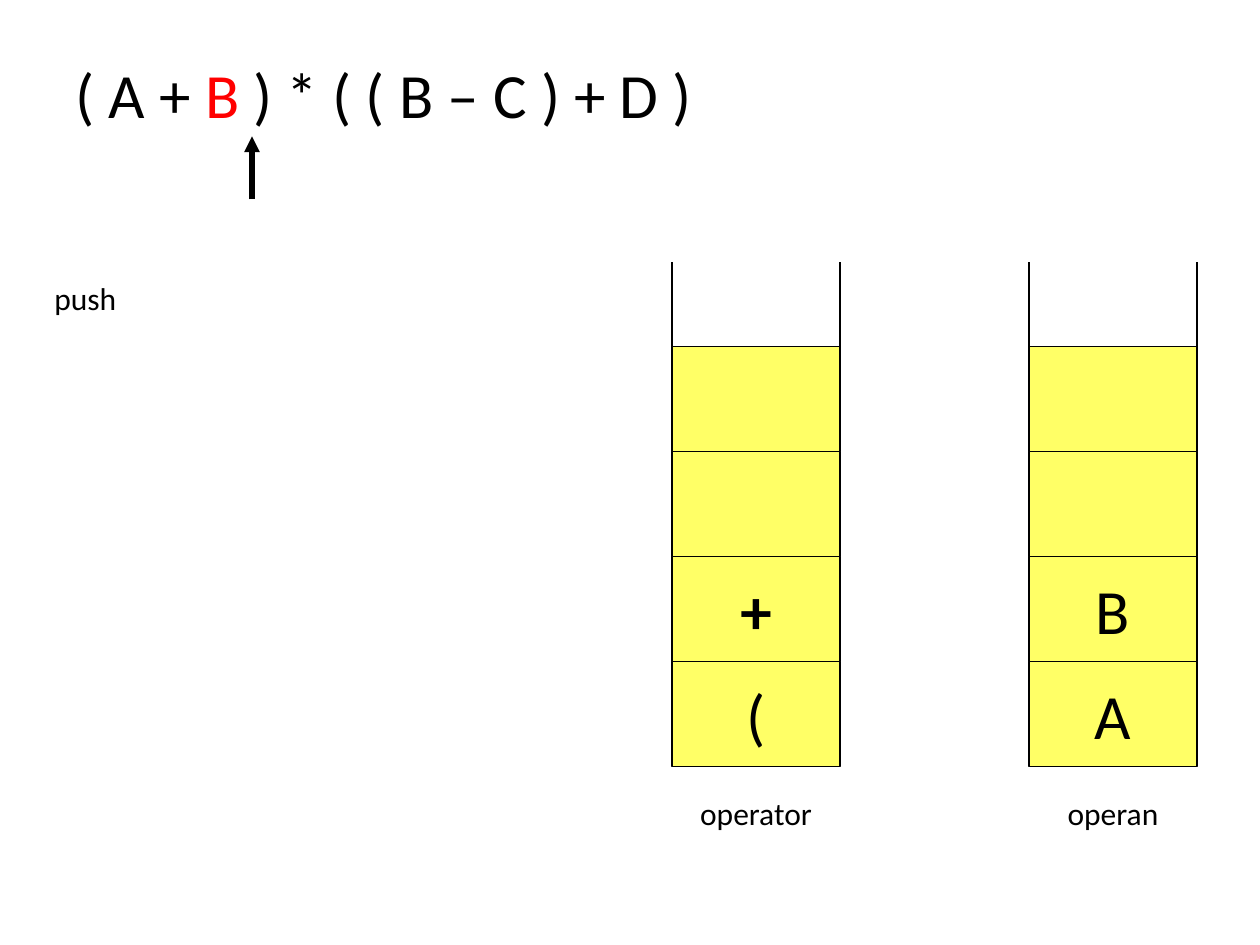
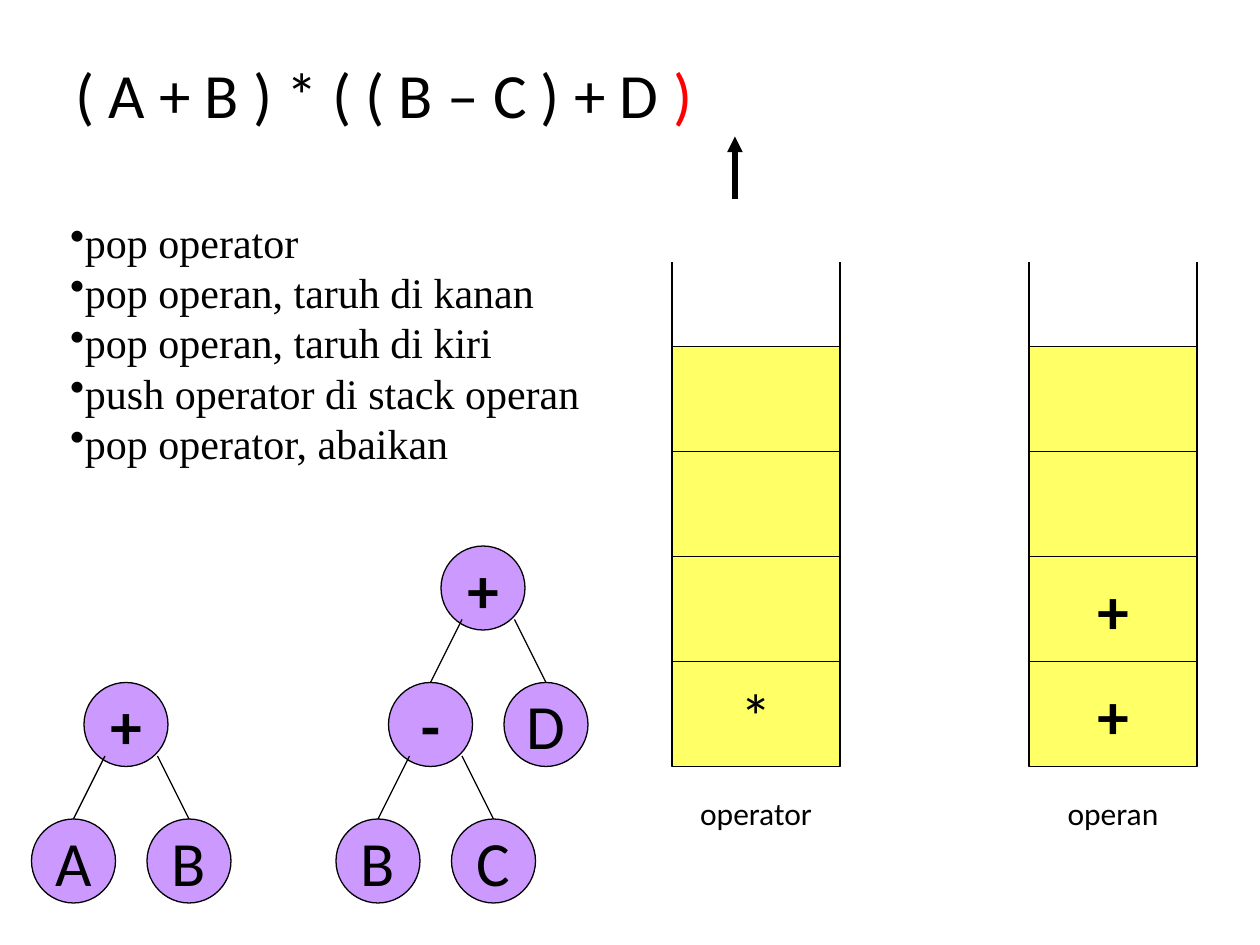
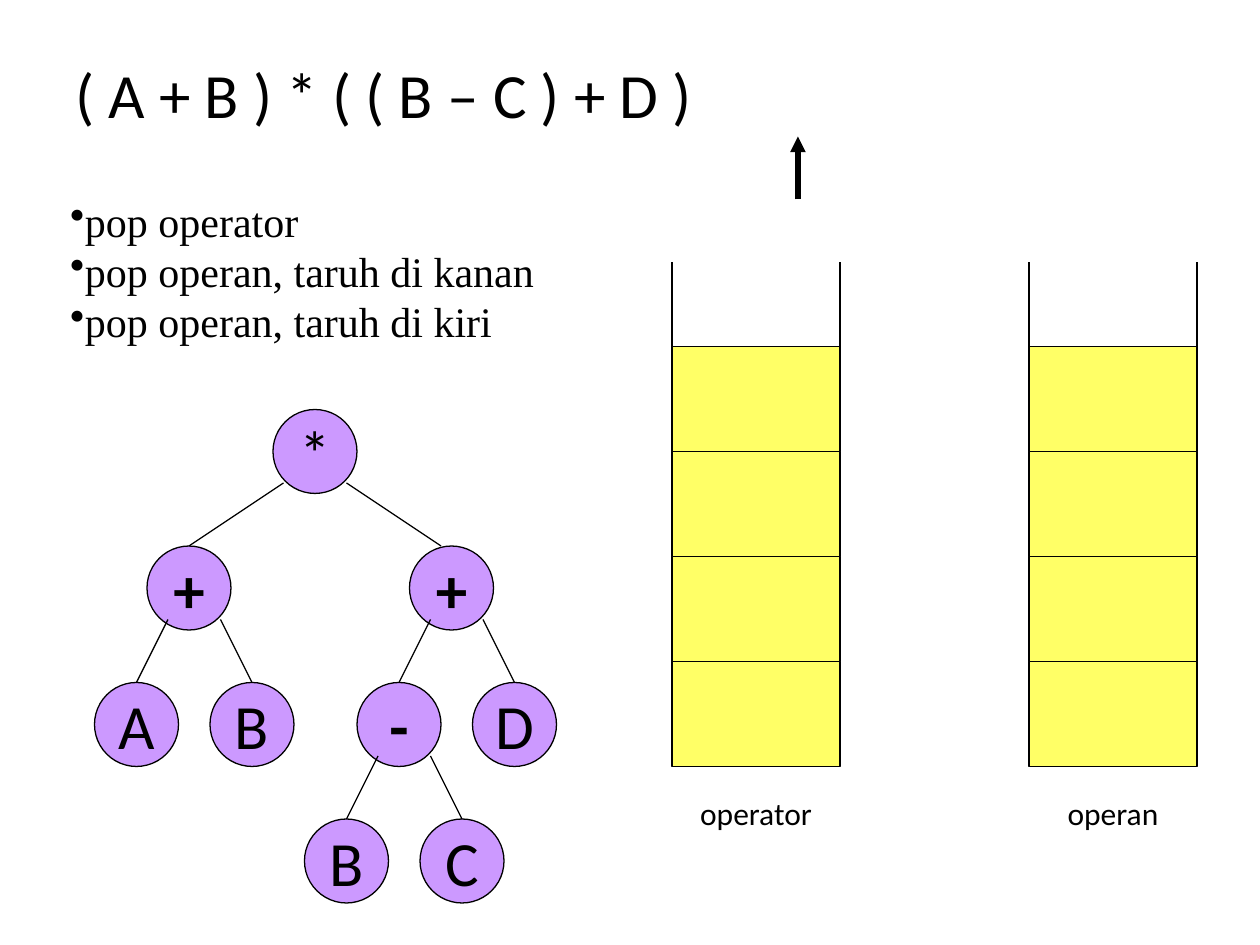
from pptx import Presentation
from pptx.dml.color import RGBColor
from pptx.enum.shapes import MSO_CONNECTOR, MSO_SHAPE
from pptx.enum.text import MSO_ANCHOR, MSO_AUTO_SIZE, PP_ALIGN
from pptx.oxml.ns import qn
from pptx.util import Cm, Pt
from lxml.etree import SubElement

BLACK = RGBColor(0x00, 0x00, 0x00)
RED = RGBColor(0xFF, 0x00, 0x00)
WHITE = RGBColor(0xFF, 0xFF, 0xFF)
YELLOW = RGBColor(0xFF, 0xFF, 0x66)
PURPLE = RGBColor(0xCC, 0x99, 0xFF)

SANS = "Calibri"
SERIF = "Times New Roman"
TERM = "( A + B ) * ( ( B – C ) + D )"
STEPS = [
    "pop operator",
    "pop operan, taruh di kanan",
    "pop operan, taruh di kiri",
    "push operator di stack operan",
    "pop operator, abaikan",
]

CELL_W, CELL_H, FLOOR, SLOTS = 16, 10, 73, 4
BALL, LEVEL = 8, 13
NEAR = ((2, -5, -1), (7, 6, 10))
WIDE = ((1, -12, -8), (7, 13, 16))

SUM = ("+", NEAR, ("A",), ("B",))
REST = ("+", NEAR, ("-", NEAR, ("B",), ("C",)), ("D",))
FULL = ("*", WIDE, SUM, REST)


def grid(n):
    return Cm(n * 2.54 / 12)


class Deck:
    def __init__(self):
        self.prs = Presentation()
        self.prs.slide_width = Cm(25.4)
        self.prs.slide_height = Cm(19.05)
        self.slide = None

    def page(self):
        self.slide = self.prs.slides.add_slide(self.prs.slide_layouts[6])
        fill = self.slide.background.fill
        fill.solid()
        fill.fore_color.rgb = WHITE

    def style(self, run, size, font=SANS, color=BLACK):
        run.font.size = Pt(size)
        run.font.name = font
        run.font.color.rgb = color
        run.font.bold = run.text in ("+", "-")

    def text(self, x, y, w, h, lines, size, font=SANS, align=PP_ALIGN.LEFT, wrap=True):
        box = self.slide.shapes.add_textbox(grid(x), grid(y), grid(w), grid(h))
        frame = box.text_frame
        frame.text = "\n".join(lines)
        frame.word_wrap = wrap
        frame.auto_size = MSO_AUTO_SIZE.SHAPE_TO_FIT_TEXT
        for para in frame.paragraphs:
            para.alignment = align
            for run in para.runs:
                self.style(run, size, font)
        return frame

    def title(self, mark=None):
        frame = self.text(6, 4.7, 70.3, 8.4, [TERM], 36, wrap=False)
        if mark is None:
            return
        para = frame.paragraphs[0]
        para.text = TERM[:mark]
        self.style(para.runs[0], 36)
        for part, color in ((TERM[mark], RED), (TERM[mark + 1:], BLACK)):
            if part:
                run = para.add_run()
                run.text = part
                self.style(run, 36, color=color)

    def steps(self, y, h, count):
        frame = self.text(3, y, 54, h, STEPS[:count], 24, SERIF)
        for para in frame.paragraphs:
            props = para._p.get_or_add_pPr()
            props.set("marL", "0")
            props.set("indent", str(grid(2.5)))
            SubElement(props, qn("a:buChar")).set("char", "•")

    def shape(self, home, kind, x, y, w, h, fill, label):
        item = home.add_shape(kind, grid(x), grid(y), grid(w), grid(h))
        item.shadow.inherit = False
        item.fill.solid()
        item.fill.fore_color.rgb = fill
        item.line.color.rgb = BLACK
        item.line.width = Pt(0.75)
        if label:
            frame = item.text_frame
            frame.text = label
            frame.word_wrap = False
            frame.vertical_anchor = MSO_ANCHOR.MIDDLE
            frame.paragraphs[0].alignment = PP_ALIGN.CENTER
            self.style(frame.paragraphs[0].runs[0], 36)

    def line(self, home, x1, y1, x2, y2, width=0.75, head=False):
        link = home.add_connector(
            MSO_CONNECTOR.STRAIGHT, grid(x1), grid(y1), grid(x2), grid(y2))
        link.line.color.rgb = BLACK
        link.line.width = Pt(width)
        props = link._element.spPr
        if head:
            SubElement(props.find(qn("a:ln")), qn("a:tailEnd")).set("type", "triangle")
        SubElement(props, qn("a:effectLst"))

    def arrow(self, x):
        self.line(self.slide.shapes, x, 19, x, 13, 3, True)

    def stack(self, x, name, items, wrap):
        home = self.slide.shapes
        for slot in range(SLOTS):
            label = items[slot] if slot < len(items) else ""
            top = FLOOR - (slot + 1) * CELL_H
            self.shape(home, MSO_SHAPE.RECTANGLE, x, top, CELL_W, CELL_H, YELLOW, label)
        rim = FLOOR - SLOTS * CELL_H
        for side in (x, x + CELL_W):
            self.line(home, side, rim - 8, side, rim)
        self.text(x, 75, CELL_W, 6, [name], 18, align=PP_ALIGN.CENTER, wrap=wrap)

    def tree(self, x, y, node, home=None):
        home = home or self.slide.shapes.add_group_shape().shapes
        self.shape(home, MSO_SHAPE.OVAL, x, y, BALL, BALL, PURPLE, node[0])
        if len(node) > 1:
            for (start, shift, end), kid in zip(node[1], node[2:]):
                self.tree(x + shift, y + LEVEL, kid, home)
                self.line(home, x + start, y + 7, x + end, y + LEVEL)

    def scene(self, mark, tip, left, right):
        self.page()
        self.title(mark)
        self.arrow(tip)
        self.stack(64, "operator", left, False)
        self.stack(98, "operan", right, True)


def main():
    deck = Deck()

    deck.scene(TERM.index("B"), 24, "(+", "AB")
    deck.text(4, 26, 11, 6, ["push"], 18)

    deck.scene(len(TERM) - 1, 70, "*", "++")
    deck.steps(20, 25.2, 5)
    deck.tree(8, 65, SUM)
    deck.tree(42, 52, REST)

    deck.scene(None, 76, "", "")
    deck.steps(18, 15.6, 3)
    deck.tree(26, 39, FULL)

    deck.prs.save("out.pptx")


if __name__ == "__main__":
    main()
